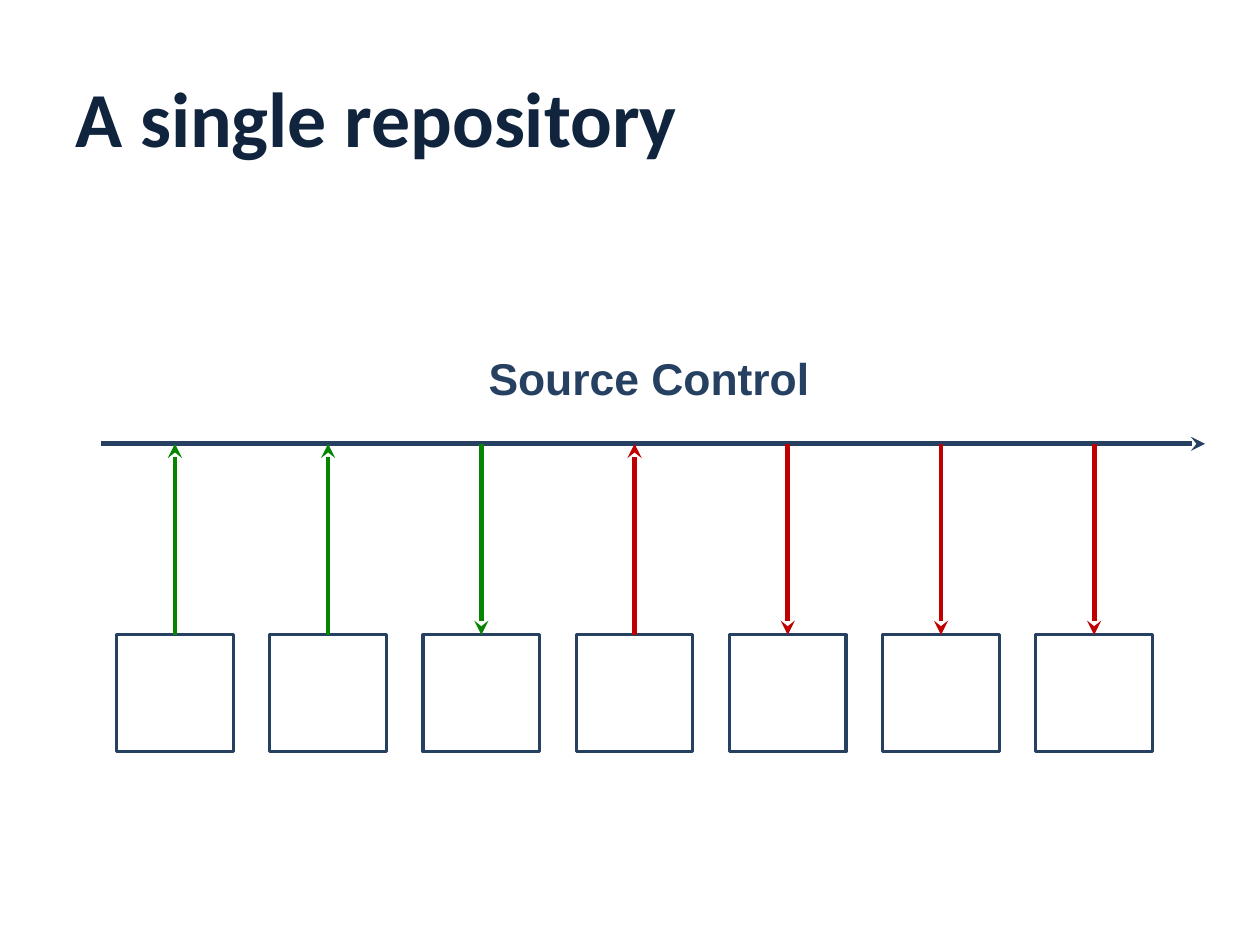
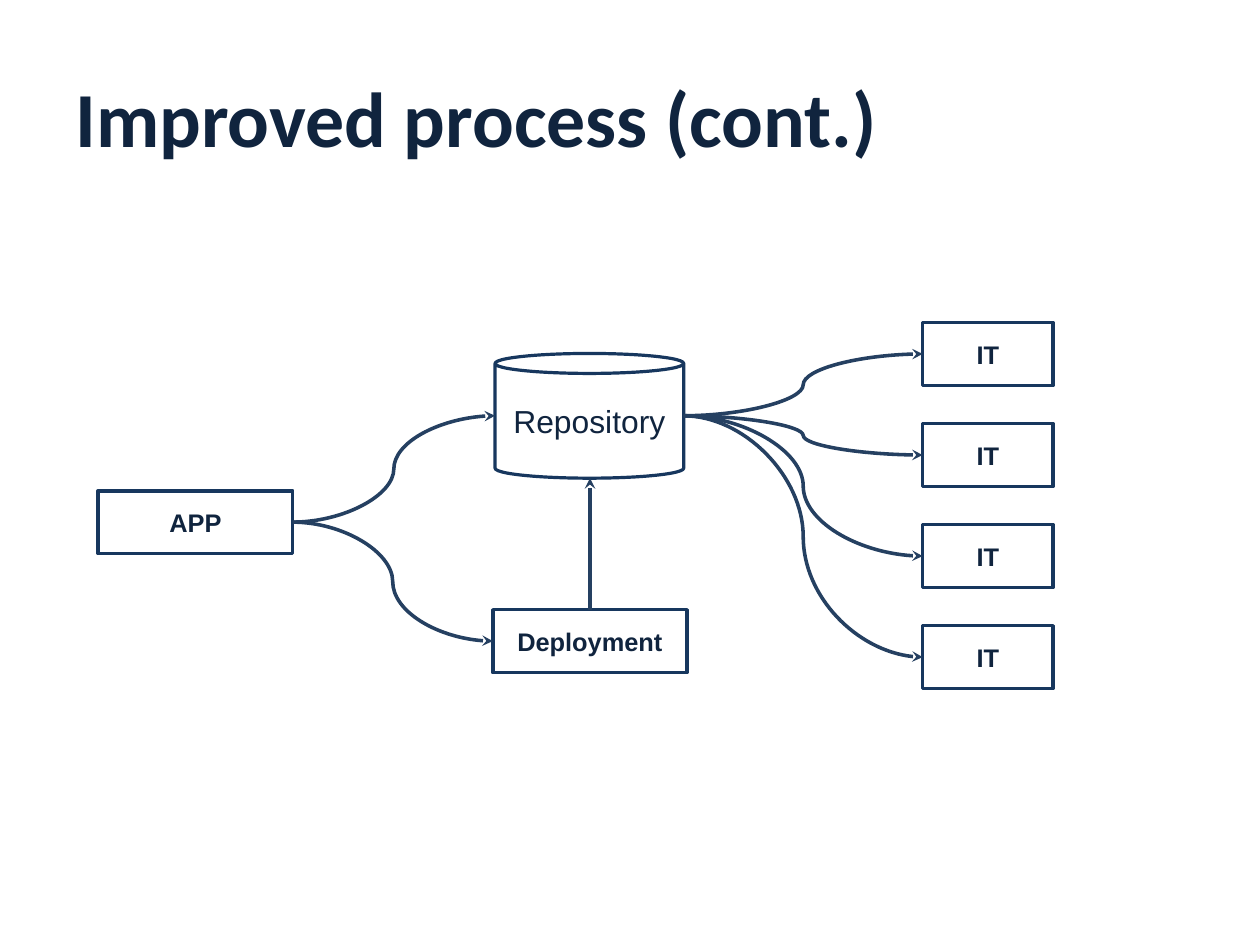
from lxml import etree
from pptx import Presentation
from pptx.dml.color import RGBColor
from pptx.enum.shapes import MSO_CONNECTOR, MSO_SHAPE
from pptx.enum.text import MSO_ANCHOR, PP_ALIGN
from pptx.oxml.ns import qn
from pptx.util import Inches, Pt

RECT, CAN = MSO_SHAPE.RECTANGLE, MSO_SHAPE.CAN
STRAIGHT, CURVE = MSO_CONNECTOR.STRAIGHT, MSO_CONNECTOR.CURVE
LEFT, CENTER = PP_ALIGN.LEFT, PP_ALIGN.CENTER
TOP, MIDDLE = MSO_ANCHOR.TOP, MSO_ANCHOR.MIDDLE

WHITE = RGBColor(0xFF, 0xFF, 0xFF)
INK = RGBColor(0x10, 0x24, 0x3E)
NAVY = RGBColor(0x25, 0x40, 0x61)
BORDER = RGBColor(0x17, 0x37, 0x5E)
GREEN = RGBColor(0x07, 0x85, 0x01)
RED = RGBColor(0xC0, 0x00, 0x00)

TITLE_FONT = dict(name="Calibri", size=Pt(49), bold=True)
HEADING_FONT = dict(name="Arial", size=Pt(28), bold=True)
BOX_FONT = dict(name="Arial", size=Pt(16), bold=True)
STORE_FONT = dict(name="Arial", size=Pt(20), bold=False)

# Slide 1: one arrow per box, going up to the timeline or down from it
COMMITS = [("up", GREEN), ("up", GREEN), ("down", GREEN), ("up", RED),
           ("down", RED), ("down", RED), ("down", RED)]
TIMELINE_Y = 3.88
SQUARE, SQUARE_LEFT, SQUARE_TOP, SQUARE_PITCH = 1.02, 1.02, 5.55, 1.34

# Slide 2: boxes as (left, top, width, height)
BOX_H = 0.55
APP = (0.86, 4.29, 1.7, BOX_H)
STORE = (4.33, 3.09, 1.65, 1.09)
DEPLOYMENT = (4.31, 5.33, 1.7, BOX_H)
IT_COUNT, IT_FIRST, IT_LAST = 4, 2.82, 5.47
IT_PITCH = (IT_LAST - IT_FIRST) / (IT_COUNT - 1)
IT_BOXES = [(8.07, IT_FIRST + i * IT_PITCH, 1.14, BOX_H) for i in range(IT_COUNT)]


def write(shape, text, font, color, align=CENTER, anchor=MIDDLE, inset=(0.1, 0.05)):
    tf = shape.text_frame
    tf.word_wrap = True
    tf.vertical_anchor = anchor
    tf.margin_left = tf.margin_right = Inches(inset[0])
    tf.margin_top = tf.margin_bottom = Inches(inset[1])
    p = tf.paragraphs[0]
    p.alignment = align
    r = p.add_run()
    r.text = text
    for name, value in font.items():
        setattr(r.font, name, value)
    r.font.color.rgb = color


def add_text(s, box, *args, **kwargs):
    write(s.shapes.add_textbox(*map(Inches, box)), *args, **kwargs)


def add_box(s, box, line, width, kind=RECT, fill=None):
    sp = s.shapes.add_shape(kind, *map(Inches, box))
    sp.shadow.inherit = False
    if fill is None:
        sp.fill.background()
    else:
        sp.fill.solid()
        sp.fill.fore_color.rgb = fill
    sp.line.color.rgb = line
    sp.line.width = Pt(width)
    return sp


def add_arrow(s, start, end, color=NAVY, width=2.25, kind=STRAIGHT):
    cxn = s.shapes.add_connector(kind, *map(Inches, (*start, *end)))
    cxn.line.color.rgb = color
    cxn.line.width = Pt(width)
    sp_pr = cxn._element.spPr
    etree.SubElement(sp_pr.find(qn("a:ln")), qn("a:tailEnd"), type="stealth")
    etree.SubElement(sp_pr, qn("a:effectLst"))


def left_mid(box):
    return box[0], box[1] + box[3] / 2


def right_mid(box):
    return box[0] + box[2], box[1] + box[3] / 2


def new_slide(prs, title):
    s = prs.slides.add_slide(prs.slide_layouts[6])
    add_text(s, (0.55, 0.33, 9.92, 1.38), title, TITLE_FONT, INK,
             align=LEFT, inset=(0.11, 0.06))
    return s


def repository_slide(prs):
    s = new_slide(prs, "A single repository")
    add_text(s, (0.88, 3.02, 9.59, 0.56), "Source Control", HEADING_FONT, NAVY, anchor=TOP)
    add_arrow(s, (0.88, TIMELINE_Y), (10.54, TIMELINE_Y), width=3)
    for i, (direction, color) in enumerate(COMMITS):
        x = SQUARE_LEFT + i * SQUARE_PITCH
        add_box(s, (x, SQUARE_TOP, SQUARE, SQUARE), NAVY, 2, fill=WHITE)
        ends = [(x + SQUARE / 2, SQUARE_TOP), (x + SQUARE / 2, TIMELINE_Y)]
        if direction == "down":
            ends.reverse()
        add_arrow(s, *ends, color=color, width=3)


def process_slide(prs):
    s = new_slide(prs, "Improved process (cont.)")

    # Boxes and the store
    labelled = [("APP", APP), ("Deployment", DEPLOYMENT)] + [("IT", b) for b in IT_BOXES]
    for text, box in labelled:
        write(add_box(s, box, BORDER, 2.25), text, BOX_FONT, INK)
    store = add_box(s, STORE, BORDER, 2, kind=CAN, fill=WHITE)
    store.adjustments[0] = 0.16
    write(store, "Repository", STORE_FONT, INK)

    # Flow between them
    flows = [(APP, STORE), (APP, DEPLOYMENT)] + [(STORE, b) for b in IT_BOXES]
    for source, target in flows:
        add_arrow(s, right_mid(source), left_mid(target), kind=CURVE)
    x = DEPLOYMENT[0] + DEPLOYMENT[2] / 2
    add_arrow(s, (x, DEPLOYMENT[1]), (x, STORE[1] + STORE[3]))


def main():
    prs = Presentation()
    prs.slide_width, prs.slide_height = Inches(11.02), Inches(8.27)
    repository_slide(prs)
    process_slide(prs)
    prs.save("out.pptx")


if __name__ == "__main__":
    main()
